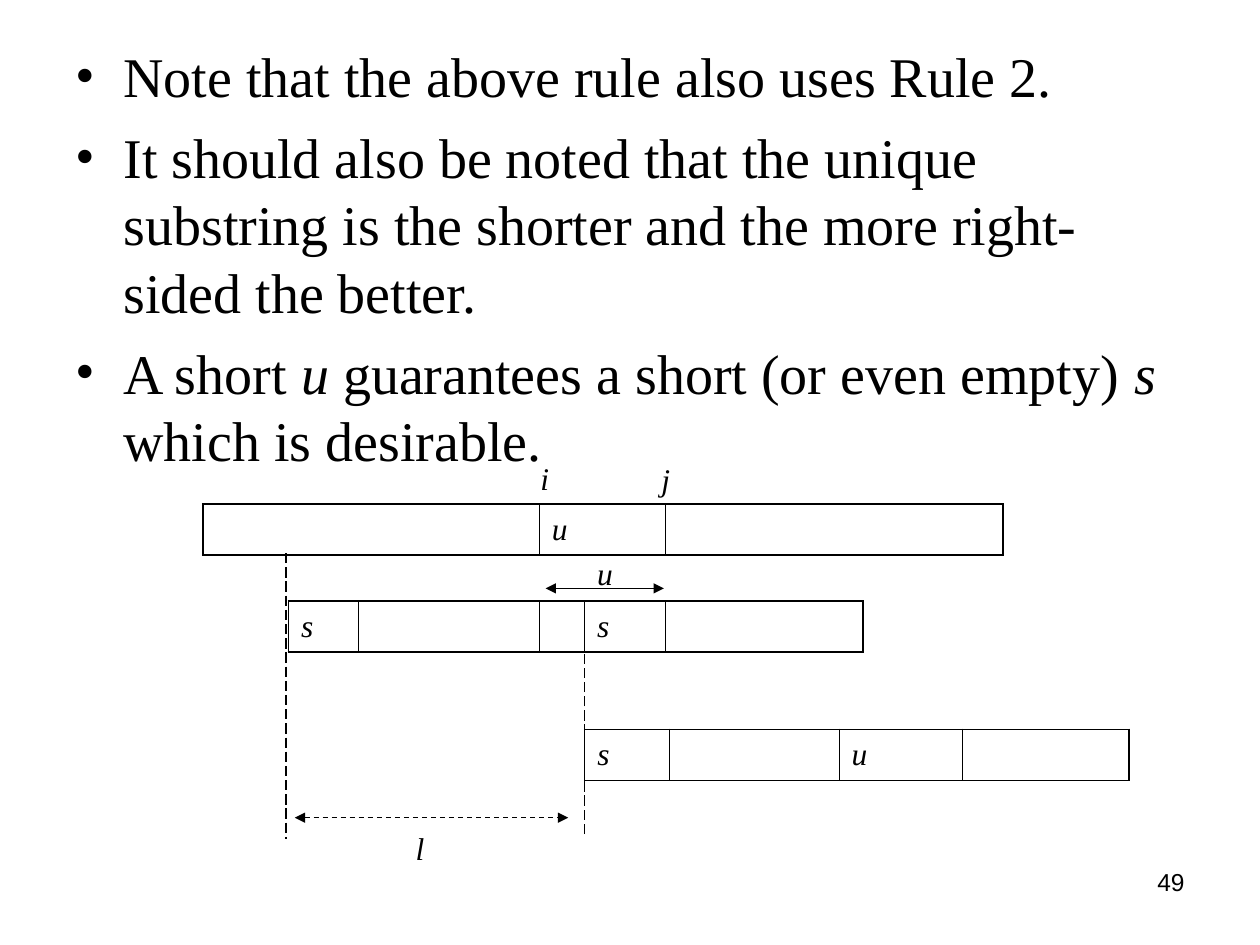
import dataclasses
import typing

import lxml.etree
import pptx
import pptx.dml.color
import pptx.enum.dml
import pptx.enum.shapes
import pptx.enum.text
import pptx.oxml.ns
import pptx.util

Inches, Pt, qn = pptx.util.Inches, pptx.util.Pt, pptx.oxml.ns.qn
Align = pptx.enum.text.PP_ALIGN
Dash = pptx.enum.dml.MSO_LINE


@dataclasses.dataclass(frozen=True)
class Theme:
    ink: pptx.dml.color.RGBColor = pptx.dml.color.RGBColor(0, 0, 0)
    serif: str = "Times New Roman"
    sans: str = "Arial"
    body: float = 32
    label: float = 18
    number: float = 14
    line: float = 0.75
    outer: float = 1.08
    inner: float = 0.45


class Strip(typing.NamedTuple):
    left: float
    top: float
    widths: tuple[float, ...]
    texts: tuple[str, ...]


class Label(typing.NamedTuple):
    text: str
    left: float
    top: float


class Rule(typing.NamedTuple):
    x1: float
    y1: float
    x2: float
    y2: float
    dash: typing.Any = None
    arrows: bool = False


THEME = Theme()
ROW = 0.4
BULLETS = (
    (("Note that the above rule also uses Rule 2.", False),),
    (("It should also be noted that the unique substring is the shorter "
      "and the more right-sided the better.", False),),
    (("A short ", False), ("u", True), (" guarantees a short (or even empty) ", False),
     ("s", True), (" which is desirable.", False)),
)
STRIPS = (
    Strip(1.61, 4, (2.67, 1, 2.68), ("", "u", "")),
    Strip(2.29, 4.77, (0.55, 1.44, 0.36, 0.64, 1.57), ("s", "", "", "s", "")),
    Strip(4.64, 5.79, (0.67, 1.35, 0.98, 1.32), ("s", "", "u", "")),
)
LABELS = (
    Label("i", 4.19, 3.59),
    Label("j", 5.15, 3.6),
    Label("l", 3.2, 6.53),
    Label("u", 4.64, 4.35),
)
RULES = (
    Rule(2.27, 4.39, 2.27, 6.66, Dash.LONG_DASH),
    Rule(4.64, 6.62, 4.64, 5.17, Dash.LONG_DASH),
    Rule(2.34, 6.49, 4.51, 6.49, Dash.DASH, True),
    Rule(4.33, 4.67, 5.27, 4.67, None, True),
)


def add_run(p, text: str, size: float, italic: bool = False, font: str = THEME.serif) -> None:
    """Append one formatted run to a paragraph."""
    r = p.add_run()
    r.text = text
    r.font.name, r.font.size, r.font.italic = font, Pt(size), italic
    r.font.color.rgb = THEME.ink


def fill_body(sp) -> None:
    """Place the body placeholder and write its bullets."""
    sp.left, sp.top, sp.width, sp.height = map(Inches, (0.5, 0.28, 9, 6.41))
    tf = sp.text_frame
    tf.auto_size = pptx.enum.text.MSO_AUTO_SIZE.NONE
    for i, runs in enumerate(BULLETS):
        p = tf.add_paragraph() if i else tf.paragraphs[0]
        pPr = p._p.get_or_add_pPr()
        pPr.set("marL", str(Inches(0.38)))
        pPr.set("indent", str(-Inches(0.38)))
        lxml.etree.SubElement(pPr, qn("a:buFont")).set("typeface", THEME.serif)
        lxml.etree.SubElement(pPr, qn("a:buChar")).set("char", "•")
        p.space_before = Pt(8 if i else 0)
        for text, italic in runs:
            add_run(p, text, THEME.body, italic)


def set_borders(cell, first: bool, last: bool) -> None:
    """Draw the four borders of a cell, heavier on the strip's outline."""
    tcPr = cell._tc.get_or_add_tcPr()
    sides = (("a:lnL", first), ("a:lnR", last), ("a:lnT", True), ("a:lnB", True))
    for i, (tag, outer) in enumerate(sides):
        ln = lxml.etree.Element(qn(tag), w=str(Pt(THEME.outer if outer else THEME.inner)))
        fill = lxml.etree.SubElement(ln, qn("a:solidFill"))
        lxml.etree.SubElement(fill, qn("a:srgbClr")).set("val", str(THEME.ink))
        tcPr.insert(i, ln)


def add_strip(s, strip: Strip) -> None:
    """Add a one-row table for a string divided into parts."""
    n = len(strip.widths)
    table = s.shapes.add_table(1, n, Inches(strip.left), Inches(strip.top),
                               Inches(sum(strip.widths)), Inches(ROW)).table
    table.first_row = table.horz_banding = False
    for i, (width, text) in enumerate(zip(strip.widths, strip.texts)):
        table.columns[i].width = Inches(width)
        cell = table.cell(0, i)
        cell.fill.background()
        cell.vertical_anchor = pptx.enum.text.MSO_ANCHOR.MIDDLE
        set_borders(cell, i == 0, i == n - 1)
        if text:
            add_run(cell.text_frame.paragraphs[0], text, THEME.label, True)


def add_box(s, left: float, top: float, width: float, height: float):
    """Add a wrapping text box and return its first paragraph."""
    tf = s.shapes.add_textbox(*map(Inches, (left, top, width, height))).text_frame
    tf.word_wrap = True
    return tf.paragraphs[0]


def add_rule(s, rule: Rule) -> None:
    """Add a straight line, dashed or double-headed as asked."""
    sp = s.shapes.add_connector(pptx.enum.shapes.MSO_CONNECTOR.STRAIGHT,
                                *map(Inches, (rule.x1, rule.y1, rule.x2, rule.y2)))
    sp.line.color.rgb = THEME.ink
    sp.line.width = Pt(THEME.line)
    if rule.dash is not None:
        sp.line.dash_style = rule.dash
    if rule.arrows:
        for tag in ("a:headEnd", "a:tailEnd"):
            lxml.etree.SubElement(sp.line._get_or_add_ln(), qn(tag)).set("type", "triangle")
    lxml.etree.SubElement(sp._element.spPr, qn("a:effectLst"))


def main() -> None:
    """Build the slide and save it."""
    prs = pptx.Presentation()
    prs.slide_width, prs.slide_height = Inches(10), Inches(7.5)
    s = prs.slides.add_slide(prs.slide_layouts.get_by_name("Title and Content"))
    title = s.shapes.title._element
    title.getparent().remove(title)
    fill_body(s.placeholders[1])
    for strip in STRIPS:
        add_strip(s, strip)
    for rule in RULES:
        add_rule(s, rule)
    for label in LABELS:
        add_run(add_box(s, label.left, label.top, 0.29, ROW), label.text, THEME.label, True)
    p = add_box(s, 7.17, 6.83, 2.33, 0.52)
    p.alignment = Align.RIGHT
    add_run(p, "49", THEME.number, font=THEME.sans)
    prs.save("out.pptx")


if __name__ == "__main__":
    main()
